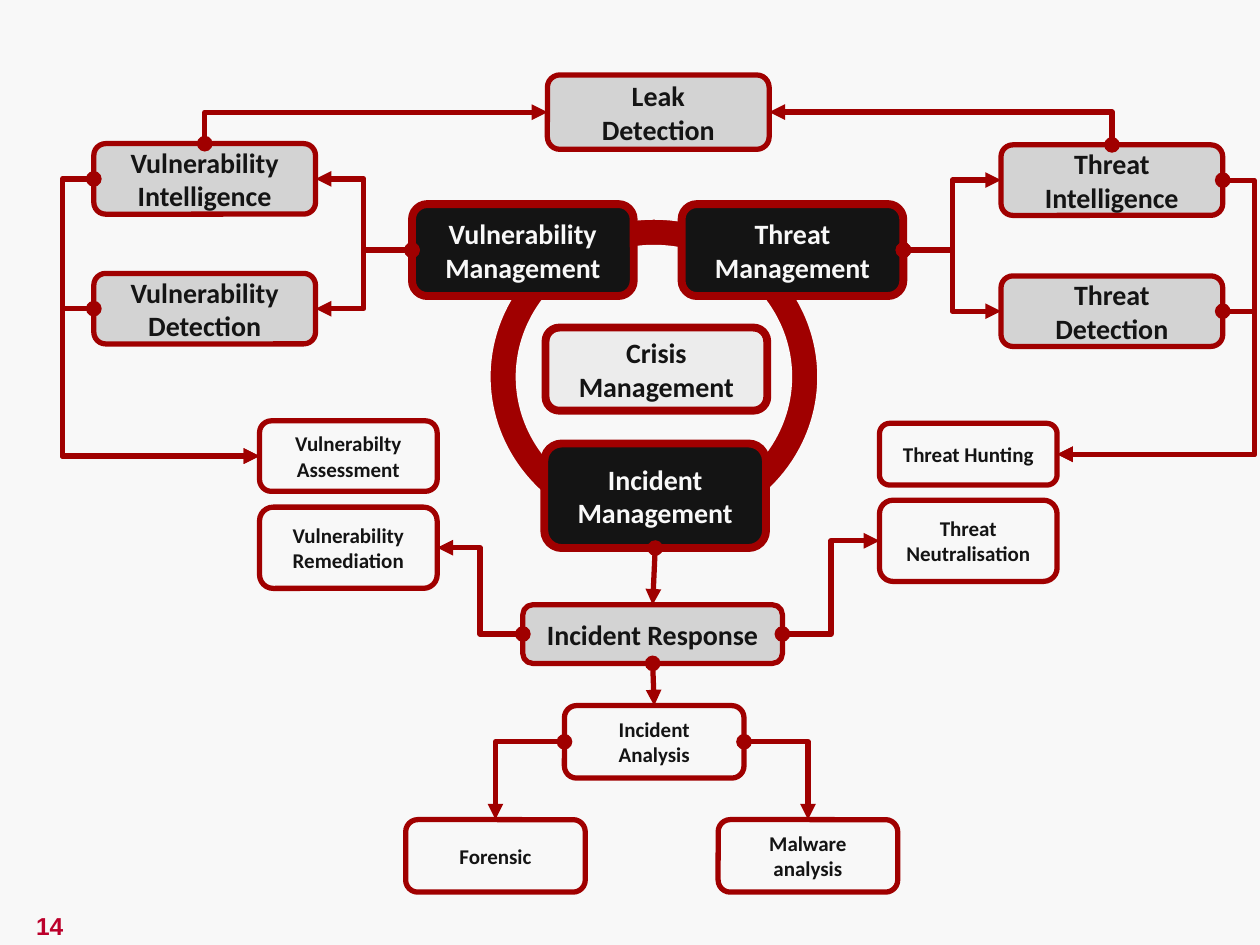
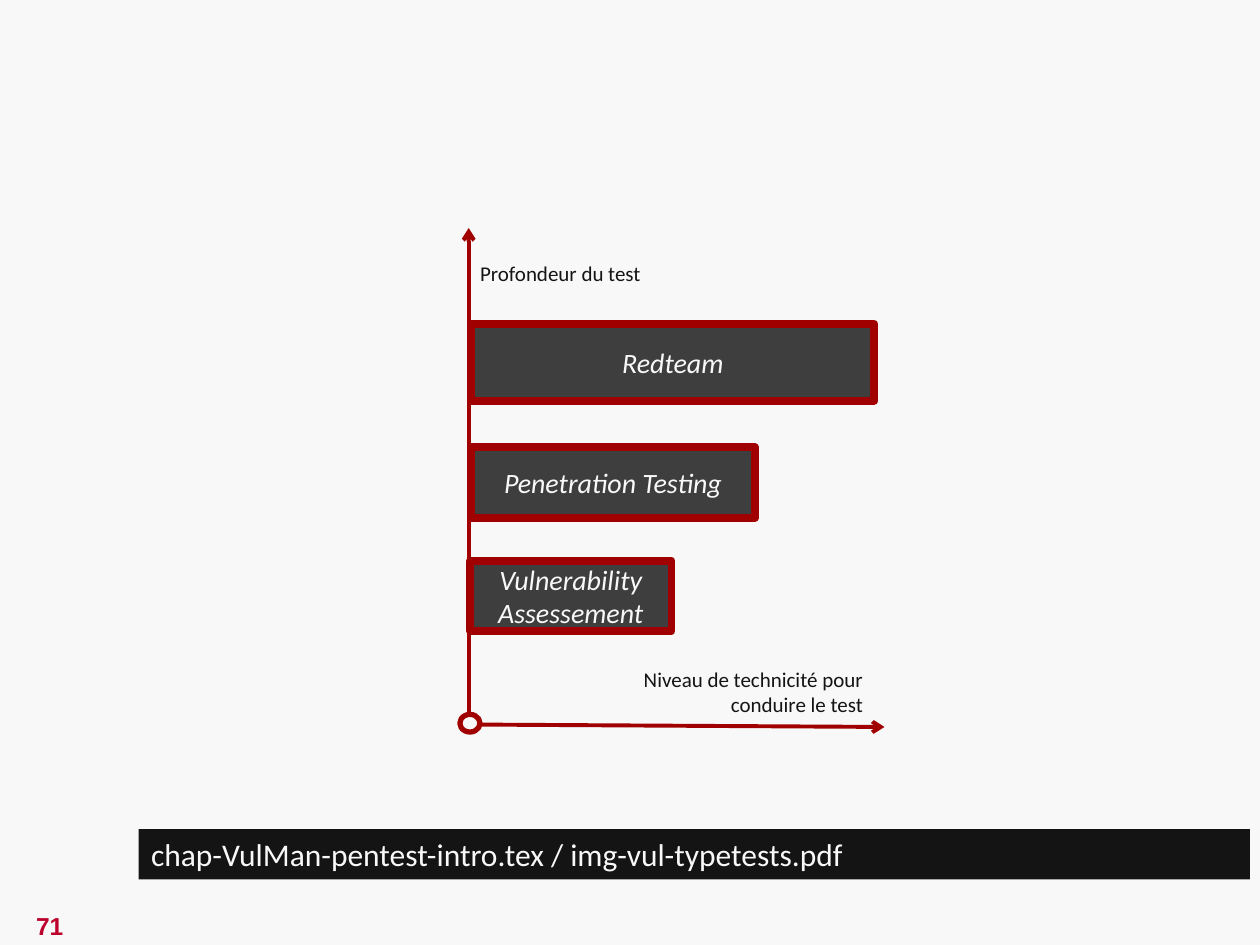
"""Build two security slides: a management map and a chart of test types."""
from dataclasses import dataclass
from typing import Any, NamedTuple

from lxml import etree
from pptx import Presentation
from pptx.dml.color import RGBColor
from pptx.enum.shapes import MSO_CONNECTOR, MSO_SHAPE
from pptx.enum.text import MSO_ANCHOR, PP_ALIGN
from pptx.oxml.ns import qn
from pptx.util import Inches, Pt

ROUND, RECT = MSO_SHAPE.ROUNDED_RECTANGLE, MSO_SHAPE.RECTANGLE
DONUT, OVAL = MSO_SHAPE.DONUT, MSO_SHAPE.OVAL
STRAIGHT, ELBOW = MSO_CONNECTOR.STRAIGHT, MSO_CONNECTOR.ELBOW
LEFT, CENTER, RIGHT = PP_ALIGN.LEFT, PP_ALIGN.CENTER, PP_ALIGN.RIGHT
TOP, MIDDLE = MSO_ANCHOR.TOP, MSO_ANCHOR.MIDDLE
TOP_SIDE, LEFT_SIDE, BOTTOM_SIDE, RIGHT_SIDE = range(4)

WIDTH, HEIGHT = Inches(10), Inches(7.5)
COLUMNS, ROWS = 100, 75


@dataclass(frozen=True)
class Theme:
    """Colours, fonts and type sizes of both slides."""

    paper: str = "F8F8F8"
    ink: str = "141414"
    red: str = "A00000"
    number: str = "BC002B"
    bullet: str = "C80032"
    silver: str = "D3D3D3"
    pale: str = "ECECEC"
    slate: str = "3E3E3E"
    font: str = "Calibri"
    number_font: str = "Arial"
    small: float = 12
    footer: float = 14
    normal: float = 16
    large: float = 18


T = Theme()


class Area(NamedTuple):
    """Place on the grid, in columns and rows."""

    col: float
    row: float
    cols: float
    rows: float


class Look(NamedTuple):
    """Fill, outline and type of a shape."""

    fill: str
    color: str
    size: float = T.normal
    line: float = 0
    bold: bool = False
    italic: bool = False


class Box(NamedTuple):
    """Labelled box of the map."""

    key: str
    text: str
    look: Look
    area: Area


class Link(NamedTuple):
    """Connector between the sides of two boxes."""

    start: str
    start_side: int
    end: str
    end_side: int
    bend: float | None = 0.5
    head: str = "oval"
    tail: str = "triangle"


class Bar(NamedTuple):
    """Test type and its extent on the chart."""

    text: str
    area: Area


CORE = Look(T.ink, T.paper, line=4.5, bold=True)
CRISIS = Look(T.pale, T.ink, line=4.5, bold=True)
DOMAIN = Look(T.silver, T.ink, line=3, bold=True)
TASK = Look(T.paper, T.ink, T.small, line=3, bold=True)
BAR = Look(T.slate, T.paper, line=4.5, italic=True)
BAND = Look(T.ink, T.paper, T.large)
ORIGIN = Look(T.paper, T.ink, line=3)

BOXES = (
    Box("vul", "Vulnerability Management", CORE, Area(32.7, 16.2, 17.6, 7.3)),
    Box("threat", "Threat Management", CORE, Area(54.1, 16.2, 17.6, 7.3)),
    Box("incident", "Incident Management", CORE, Area(43.2, 35.2, 17.6, 8.3)),
    Box("crisis", "Crisis\nManagement", CRISIS, Area(43.3, 26, 17.6, 6.6)),
    Box("response", "Incident Response", DOMAIN, Area(41.5, 48, 20.6, 4.65)),
    Box("leak", "Leak\vDetection", DOMAIN, Area(43.45, 5.95, 17.6, 5.9)),
    Box("vul_intel", "Vulnerability\nIntelligence", DOMAIN, Area(7.45, 11.4, 17.6, 5.6)),
    Box("vul_detect", "Vulnerability\nDetection", DOMAIN, Area(7.45, 21.7, 17.6, 5.6)),
    Box("threat_intel", "Threat Intelligence", DOMAIN, Area(79.45, 11.5, 17.6, 5.6)),
    Box("threat_detect", "Threat Detection", DOMAIN, Area(79.45, 21.9, 17.6, 5.6)),
    Box("assess", "Vulnerabilty Assessment", TASK, Area(20.6, 33.4, 14.1, 5.6)),
    Box("remedy", "Vulnerability\nRemediation", TASK, Area(20.6, 40.25, 14.1, 6.45)),
    Box("hunt", "Threat Hunting", TASK, Area(69.8, 33.6, 14.1, 4.9)),
    Box("neutral", "Threat\nNeutralisation", TASK, Area(69.8, 39.7, 14.1, 6.45)),
    Box("analysis", "Incident\vAnalysis", TASK, Area(44.8, 56, 14.25, 5.75)),
    Box("forensic", "Forensic", TASK, Area(32.2, 65.05, 14.25, 5.75)),
    Box("malware", "Malware analysis", TASK, Area(57, 65.05, 14.25, 5.75)),
)

LINKS = (
    Link("threat", RIGHT_SIDE, "threat_intel", LEFT_SIDE),
    Link("threat", RIGHT_SIDE, "threat_detect", LEFT_SIDE),
    Link("vul", LEFT_SIDE, "vul_intel", RIGHT_SIDE),
    Link("vul", LEFT_SIDE, "vul_detect", RIGHT_SIDE),
    Link("vul_intel", LEFT_SIDE, "assess", LEFT_SIDE, -0.19),
    Link("vul_detect", LEFT_SIDE, "assess", LEFT_SIDE, -0.19),
    Link("threat_intel", RIGHT_SIDE, "hunt", RIGHT_SIDE, -0.19),
    Link("threat_detect", RIGHT_SIDE, "hunt", RIGHT_SIDE, -0.19),
    Link("response", LEFT_SIDE, "remedy", RIGHT_SIDE),
    Link("response", RIGHT_SIDE, "neutral", LEFT_SIDE),
    Link("incident", BOTTOM_SIDE, "response", TOP_SIDE),
    Link("response", BOTTOM_SIDE, "analysis", TOP_SIDE),
    Link("analysis", RIGHT_SIDE, "malware", TOP_SIDE, None),
    Link("analysis", LEFT_SIDE, "forensic", TOP_SIDE, None),
    Link("leak", LEFT_SIDE, "vul_intel", TOP_SIDE, None, "triangle", "oval"),
    Link("leak", RIGHT_SIDE, "threat_intel", TOP_SIDE, None, "triangle", "oval"),
)

BARS = (
    Bar("Redteam", Area(37.4, 25.7, 32, 6.1)),
    Bar("Penetration Testing", Area(37.4, 35.5, 22.5, 5.6)),
    Bar("Vulnerability Assessement", Area(37.3, 44.5, 16, 5.6)),
)


def x(cols: float) -> int:
    """Turn columns into a length."""
    return round(WIDTH * cols / COLUMNS)


def y(rows: float) -> int:
    """Turn rows into a length."""
    return round(HEIGHT * rows / ROWS)


def place(area: Area) -> tuple[int, int, int, int]:
    """Turn a grid area into left, top, width and height."""
    return x(area.col), y(area.row), x(area.cols), y(area.rows)


def assign(obj: Any, values: dict[str, Any]) -> None:
    """Set each named attribute of an object."""
    for name, value in values.items():
        setattr(obj, name, value)


def paint(fill: Any, color: str) -> None:
    """Fill with one solid colour."""
    fill.solid()
    fill.fore_color.rgb = RGBColor.from_string(color)


def write(sp: Any, text: str, color: str, align: Any, frame: dict[str, Any],
          font: dict[str, Any]) -> None:
    """Write wrapped text in one format."""
    tf = sp.text_frame
    assign(tf, {"word_wrap": True, **frame})
    tf.text = text
    for p in tf.paragraphs:
        p.alignment = align
        for r in p.runs:
            assign(r.font, {"name": T.font, **font})
            r.font.color.rgb = RGBColor.from_string(color)


def add_box(s: Any, kind: Any, area: Area, look: Look, text: str = "",
            align: Any = CENTER, outline: str = T.red) -> Any:
    """Draw a preset shape with its label."""
    sp = s.shapes.add_shape(kind, *place(area))
    sp.shadow.inherit = False
    paint(sp.fill, look.fill)
    if look.line:
        paint(sp.line.fill, outline)
        sp.line.width = Pt(look.line)
    else:
        sp.line.fill.background()
    if text:
        write(sp, text, look.color, align, {"vertical_anchor": MIDDLE},
              {"size": Pt(look.size), "bold": look.bold, "italic": look.italic})
    return sp


def style_line(cxn: Any, width: float, ends: dict[str, str]) -> None:
    """Give a connector its red stroke and end marks."""
    paint(cxn.line.fill, T.red)
    cxn.line.width = Pt(width)
    props = cxn._element.spPr
    for tag, mark in ends.items():
        etree.SubElement(props.find(qn("a:ln")), qn(f"a:{tag}"), type=mark)
    etree.SubElement(props, qn("a:effectLst"))


def add_link(s: Any, link: Link, boxes: dict[str, Any]) -> None:
    """Join two boxes by a straight or bent connector."""
    straight = (link.start_side, link.end_side) == (BOTTOM_SIDE, TOP_SIDE)
    cxn = s.shapes.add_connector(STRAIGHT if straight else ELBOW, 0, 0, 0, 0)
    cxn.begin_connect(boxes[link.start], link.start_side)
    cxn.end_connect(boxes[link.end], link.end_side)
    if not straight:
        geom = cxn._element.spPr.find(qn("a:prstGeom"))
        if link.bend is None:
            geom.set("prst", "bentConnector2")
        else:
            etree.SubElement(geom.find(qn("a:avLst")), qn("a:gd"), name="adj1",
                             fmla=f"val {round(link.bend * 100000)}")
    style_line(cxn, 3, {"headEnd": link.head, "tailEnd": link.tail})


def add_axis(s: Any, col: float, row: float, end_col: float, end_row: float) -> None:
    """Draw a chart axis with an open arrow."""
    cxn = s.shapes.add_connector(STRAIGHT, x(col), y(row), x(end_col), y(end_row))
    style_line(cxn, 2.25, {"tailEnd": "arrow"})


def add_axis_label(s: Any, area: Area, text: str, align: Any) -> None:
    """Write an axis label with a diamond bullet."""
    sp = s.shapes.add_textbox(*place(area))
    side, edge = Inches(0.07), Inches(0.04)
    props = sp.text_frame.paragraphs[0]._p.get_or_add_pPr()
    assign_indent = {"marL": Inches(0.2), "indent": -Inches(0.2)}
    for name, value in assign_indent.items():
        props.set(name, str(value))
    color = etree.SubElement(props, qn("a:buClr"))
    etree.SubElement(color, qn("a:srgbClr"), val=T.bullet)
    etree.SubElement(props, qn("a:buChar"), char="❖")
    write(sp, text, T.ink, align,
          {"vertical_anchor": TOP, "margin_left": side, "margin_right": side,
           "margin_top": edge, "margin_bottom": edge}, {"size": Pt(T.small)})


def add_slide(prs: Any, number: int) -> Any:
    """Add a blank slide with the shared background and number."""
    s = prs.slides.add_slide(prs.slide_layouts[6])
    paint(s.background.fill, T.paper)
    sp = s.shapes.add_textbox(*place(Area(0, 71.8, 7.9, 3.4)))
    write(sp, str(number), T.number, CENTER, {"vertical_anchor": MIDDLE},
          {"name": T.number_font, "size": Pt(T.footer), "bold": True})
    return s


def build_map(prs: Any) -> None:
    """Draw the management map."""
    s = add_slide(prs, 14)
    ring = add_box(s, DONUT, Area(38.8, 17.3, 26.2, 25.2),
                   Look(T.red, T.paper, line=2), outline=T.paper)
    ring.adjustments[0] = 0.09
    boxes = {b.key: add_box(s, ROUND, b.area, b.look, b.text) for b in BOXES}
    for link in LINKS:
        add_link(s, link, boxes)


def build_chart(prs: Any) -> None:
    """Draw the test types by depth and skill."""
    s = add_slide(prs, 71)
    add_axis(s, 37.1, 57.5, 70.2, 57.7)
    add_axis(s, 37.2, 57.5, 37.2, 18.1)
    for bar in BARS:
        add_box(s, RECT, bar.area, BAR, bar.text)
    add_axis_label(s, Area(37.4, 20.3, 28.1, 2.9), "Profondeur du test", LEFT)
    add_axis_label(s, Area(41.1, 52.5, 28.1, 5.3),
                   "Niveau de technicité pour\vconduire le test", RIGHT)
    add_box(s, OVAL, Area(36.5, 56.7, 1.6, 1.4), ORIGIN)
    add_box(s, RECT, Area(11, 65.8, 88.2, 4), BAND,
            "chap-VulMan-pentest-intro.tex / img-vul-typetests.pdf", LEFT)


def main() -> None:
    """Build and save the presentation."""
    prs = Presentation()
    assign(prs, {"slide_width": WIDTH, "slide_height": HEIGHT})
    build_map(prs)
    build_chart(prs)
    prs.save("out.pptx")


if __name__ == "__main__":
    main()
